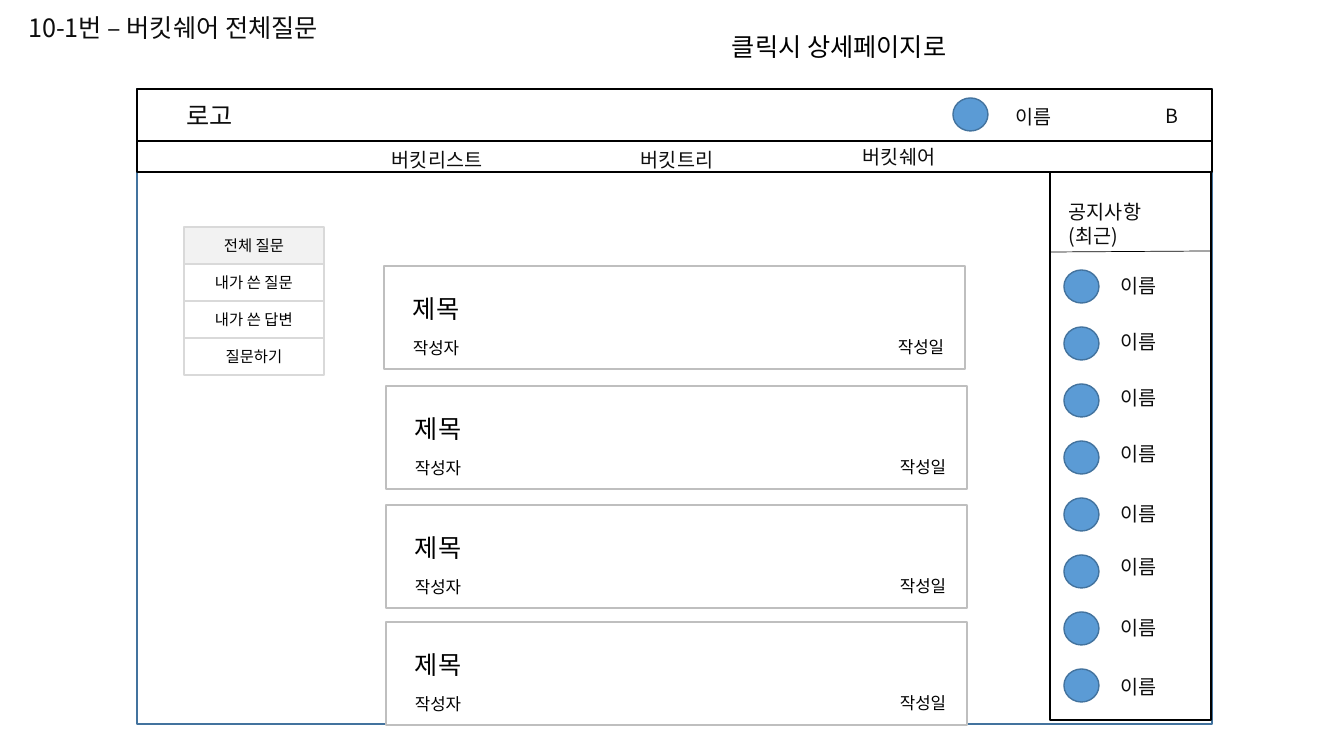
from lxml import etree
from pptx import Presentation
from pptx import util as u
from pptx.dml.color import RGBColor
from pptx.enum import shapes, text
from pptx.oxml import ns

SCALE = 914400 / 100.8


def px(length):
    return u.Emu(round(length * SCALE))


def color(code):
    return RGBColor.from_string(code)


class Wireframe:
    font = "Noto Sans CJK KR"
    ink, black, white = "0D0D0D", "000000", "FFFFFF"
    blue, navy, gray = "5B9BD5", "43739E", "BFBFBF"

    def __init__(self, slide):
        self.slide = slide

    def set_text(self, frame, words, size, ink, align=text.PP_ALIGN.LEFT):
        frame.text = words
        for para in frame.paragraphs:
            para.alignment = align
            para.font.size = u.Pt(size)
            para.font.name = self.font
            para.font.color.rgb = color(ink)
            defaults = para._p.pPr.find(ns.qn("a:defRPr"))
            etree.SubElement(defaults, ns.qn("a:ea"), typeface=self.font)

    def title(self, words, left, top, width, height):
        box = self.slide.shapes.title
        box.left, box.top, box.width, box.height = map(px, (left, top, width, height))
        frame = box.text_frame
        frame.auto_size = text.MSO_AUTO_SIZE.NONE
        frame.vertical_anchor = text.MSO_ANCHOR.MIDDLE
        self.set_text(frame, words, 18, self.ink)
        frame.paragraphs[0].line_spacing = 0.9

    def shape(self, left, top, width, height, fill=None, line=None,
              kind=shapes.MSO_SHAPE.RECTANGLE):
        box = self.slide.shapes.add_shape(kind, *map(px, (left, top, width, height)))
        box.shadow.inherit = False
        if fill:
            box.fill.solid()
            box.fill.fore_color.rgb = color(fill)
        else:
            box.fill.background()
        if line:
            box.line.color.rgb = color(line)
            box.line.width = u.Pt(1)
        else:
            box.line.fill.background()
        return box

    def button(self, words, left, top, width, height, size, ink, fill=None, line=None):
        frame = self.shape(left, top, width, height, fill, line).text_frame
        frame.vertical_anchor = text.MSO_ANCHOR.MIDDLE
        self.set_text(frame, words, size, ink, text.PP_ALIGN.CENTER)

    def avatar(self, left, top):
        self.shape(left, top, 35, 33, self.blue, self.navy, shapes.MSO_SHAPE.OVAL)

    def label(self, words, left, top, width, height=31, size=14, ink=ink):
        box = self.slide.shapes.add_textbox(*map(px, (left, top, width, height)))
        box.text_frame.word_wrap = False
        self.set_text(box.text_frame, words, size, ink)

    def rule(self, left, top, right, bottom):
        line = self.slide.shapes.add_connector(
            shapes.MSO_CONNECTOR.STRAIGHT, *map(px, (left, top, right, bottom)))
        line.line.color.rgb = color(self.black)
        line.line.width = u.Pt(0.5)
        etree.SubElement(line._element.spPr, ns.qn("a:effectLst"))

    def card(self, left, top):
        self.shape(left, top, 581, 103, self.white, self.gray)
        self.label("제목", left + 19, top + 22, 72, 40, 18, self.black)
        self.label("작성일", left + 504, top + 66, 72, 30, 12, self.black)
        self.label("작성자", left + 19, top + 67, 72, 30, 12, self.black)


deck = Presentation()
deck.slide_width, deck.slide_height = px(1344), px(756)
page = Wireframe(deck.slides.add_slide(deck.slide_layouts[5]))

page.title("10-1번 – 버킷쉐어 전체질문", 18, 14, 1159, 30)
page.label("클릭시 상세페이지로", 722, 26, 258, 40, 18, page.black)

page.shape(137, 89, 1075, 635, line=page.navy)
page.shape(137, 89, 1075, 52, page.white, page.black)
page.shape(137, 141, 1075, 31, page.white, page.black)
page.button("로고", 153, 99, 113, 33, 18, page.ink, page.white)
page.avatar(953, 98)
page.label("이름", 1006, 100, 56)
page.label("B", 1156, 99, 30)

for menu, left, top, width in (("버킷리스트", 382, 143, 113),
                               ("버킷트리", 631, 143, 94),
                               ("버킷쉐어", 853, 140, 94)):
    page.label(menu, left, top, width)

page.shape(1050, 172, 161, 548, page.white, page.black)
page.rule(1050, 252, 1211, 251)
page.label("공지사항\v(최근)", 1059, 195, 142)
for index, name_top in enumerate((269, 325, 381, 437, 497, 550, 611, 670)):
    page.avatar(1064, 270 + 57 * index)
    page.label("이름", 1111, name_top, 56)

for left, top in ((384, 266), (386, 386), (386, 505), (386, 622)):
    page.card(left, top)

for index, choice in enumerate(("전체 질문", "내가 쓴 질문", "내가 쓴 답변", "질문하기")):
    page.button(choice, 184, 227 + 37 * index, 140, 37, 11, page.black,
                "F2F2F2" if index == 0 else None, "D9D9D9")

deck.save("out.pptx")
